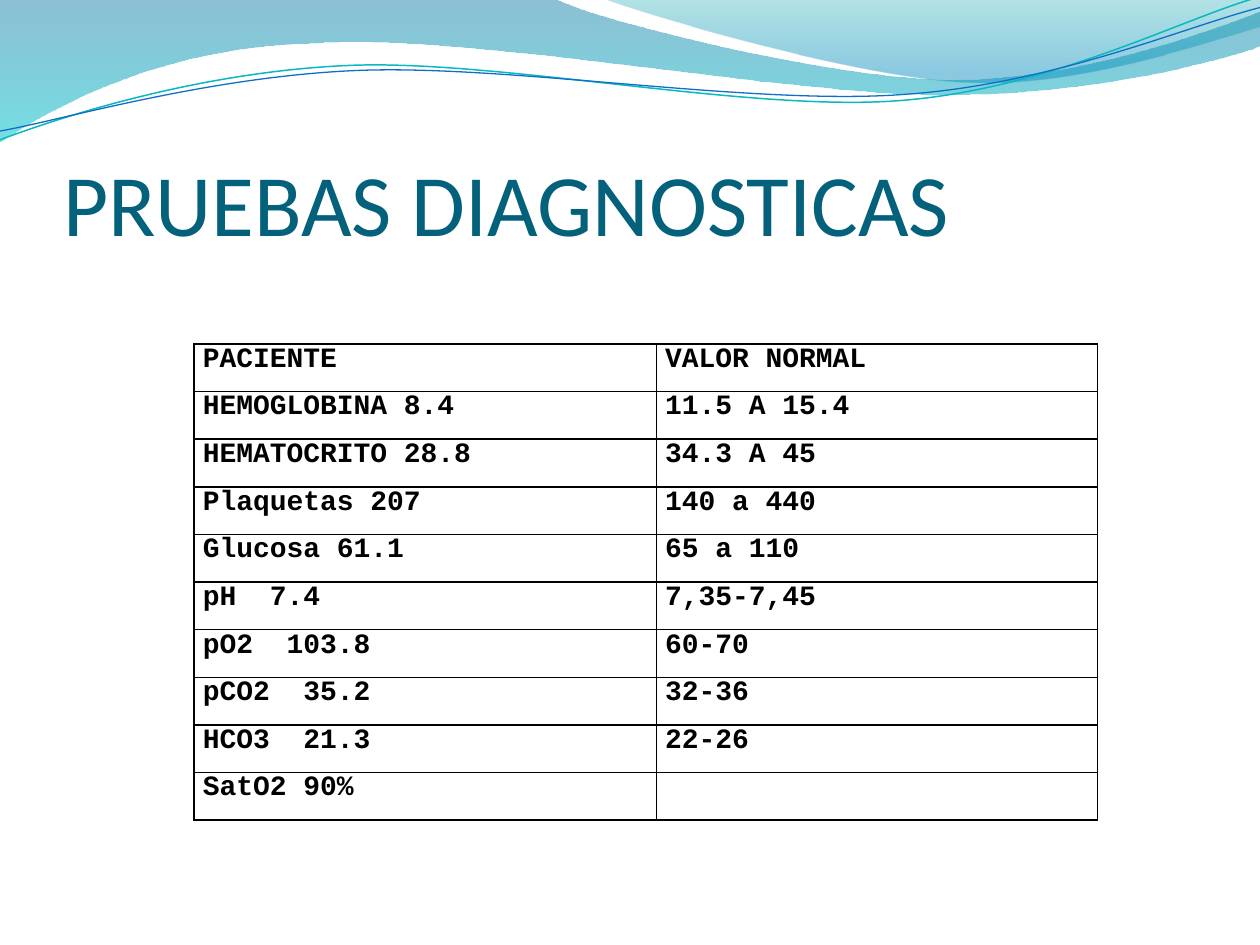
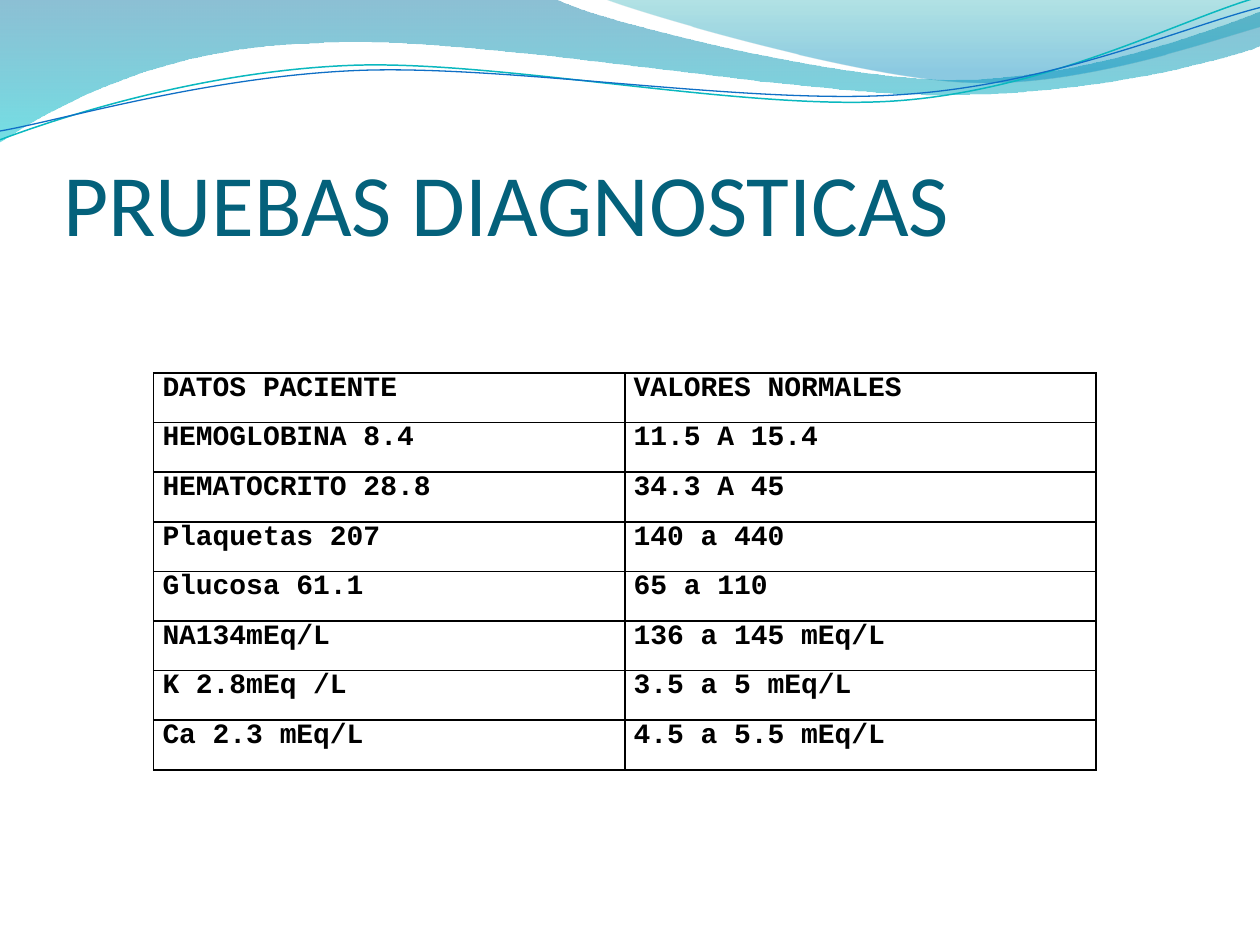
from lxml import etree
from pptx import Presentation
from pptx.dml.color import RGBColor
from pptx.enum import text
from pptx.oxml import ns
from pptx.util import Inches, Pt

TITLE_COLOR, TABLE_COLOR = "04617B", "000000"
TITLE_BOX = (0.5, 0.77, 9, 1.25)
WAVE_BOX = (0, 0)

# Wave outlines: a pair is a corner, six numbers are a Bézier curve.
# Gradient stops are position, colour and opacity in percent.
WAVE_BANDS = [
    ([(0, 0), (4.4, -0.01), (4.76, 0.17, 6.64, 0.63, 7.58, 0.63),
      (8.53, 0.63, 9.58, 0.26, 10, 0.09), (10.01, 0.36),
      (9.83, 0.44, 8.7, 0.76, 7.46, 0.75),
      (6.22, 0.75, 3.82, 0.28, 2.57, 0.34),
      (1.29, 0.36, 0.46, 0.83, -0.01, 1.13), (0, 0)],
     [(0, "0074A1", 45), (100, "00C6CF", 55)]),
    ([(4.79, -0.01), (5.09, 0.11, 6.82, 0.62, 7.69, 0.65),
      (8.56, 0.69, 9.61, 0.32, 10, 0.21), (10, 0), (4.79, -0.01)],
     [(0, "00A1A9", 30), (80, "008BBF", 45)]),
]
WAVE_LINES = [
    ([(0, 1.11), (0.48, 0.93, 1.58, 0.57, 2.77, 0.52),
      (3.95, 0.47, 5.93, 0.89, 7.13, 0.8),
      (8.33, 0.71, 9.38, 0.15, 9.98, -0.02)], "0AB8BF", 0.85),
    ([(0, 1.04), (0.47, 0.96, 1.64, 0.61, 2.83, 0.56),
      (4.03, 0.51, 5.97, 0.84, 7.17, 0.75),
      (8.36, 0.67, 9.41, 0.21, 10, 0.06)], "0F6FC6", 0.75),
]

BLOOD_ROWS = [
    ("HEMOGLOBINA 8.4", "11.5 A 15.4"),
    ("HEMATOCRITO 28.8", "34.3 A 45"),
    ("Plaquetas 207", "140 a 440"),
    ("Glucosa 61.1", "65 a 110"),
]
GAS_ROWS = [
    ("pH  7.4", "7,35-7,45"),
    ("pO2  103.8", "60-70"),
    ("pCO2  35.2", "32-36"),
    ("HCO3  21.3", "22-26"),
    ("SatO2 90%", ""),
]
ELECTROLYTE_ROWS = [
    ("NA134mEq/L", "136 a 145 mEq/L"),
    ("K 2.8mEq /L", "3.5 a 5 mEq/L"),
    ("Ca 2.3 mEq/L", "4.5 a 5.5 mEq/L"),
]


def rgb(color):
    return RGBColor.from_string(color)


def write(tf, words, font, size, color, bold=False, align=text.PP_ALIGN.LEFT):
    p = tf.paragraphs[0]
    p.alignment = align
    r = p.add_run()
    r.text = words
    r.font.name, r.font.size, r.font.bold = font, Pt(size), bold
    r.font.color.rgb = rgb(color)


def set_margins(frame, left, top, right, bottom):
    frame.margin_left, frame.margin_top = Inches(left), Inches(top)
    frame.margin_right, frame.margin_bottom = Inches(right), Inches(bottom)


def bend(sp, outline):
    """Join the three segments of each curve step into one Bézier curve."""
    segments = iter(list(sp.element.iter(ns.qn("a:lnTo"))))
    for step in outline[1:]:
        first = next(segments)
        if len(step) == 6:
            first.tag = ns.qn("a:cubicBezTo")
            for _ in range(2):
                extra = next(segments)
                first.append(extra[0])
                extra.getparent().remove(extra)


def add_outline(s, box, outline, close):
    left, top = box
    points = [(Inches(left + x), Inches(top + y))
              for step in outline for x, y in zip(step[::2], step[1::2])]
    builder = s.shapes.build_freeform(*points[0], scale=1.0)
    builder.add_line_segments(points[1:], close=close)
    sp = builder.convert_to_shape()
    bend(sp, outline)
    sp.shadow.inherit = False
    return sp


def add_waves(s, box):
    """Draw the wave header and return its shapes."""
    waves = []
    for outline, stops in WAVE_BANDS:
        sp = add_outline(s, box, outline, close=True)
        sp.line.fill.background()
        sp.fill.gradient()
        sp.fill.gradient_angle = 270
        for stop, (position, color, _) in zip(sp.fill.gradient_stops, stops):
            stop.position = position / 100
            stop.color.rgb = rgb(color)
        for node, (_, _, opacity) in zip(sp.element.iter(ns.qn("a:srgbClr")), stops):
            etree.SubElement(node, ns.qn("a:alpha"), val=str(opacity * 1000))
        waves.append(sp)
    for outline, color, width in WAVE_LINES:
        sp = add_outline(s, box, outline, close=False)
        sp.fill.background()
        sp.line.color.rgb = rgb(color)
        sp.line.width = Pt(width)
        waves.append(sp)
    return waves


def move_to_master(master, waves):
    """Put the waves behind everything on every slide."""
    for sp in waves:
        master.shapes.element.append(sp.element)


def add_title(s, box, words):
    sp = s.shapes.title
    sp.left, sp.top, sp.width, sp.height = map(Inches, box)
    tf = sp.text_frame
    tf.auto_size = text.MSO_AUTO_SIZE.NONE
    tf.vertical_anchor = text.MSO_ANCHOR.BOTTOM
    set_margins(tf, 0, 0.05, 0, 0)
    write(tf, words, "Calibri", 50, TITLE_COLOR)


def add_borders(cell):
    props = cell._tc.get_or_add_tcPr()
    for side in ("lnL", "lnR", "lnT", "lnB"):
        line = etree.SubElement(props, ns.qn("a:" + side), w=str(Pt(1)))
        fill = etree.SubElement(line, ns.qn("a:solidFill"))
        etree.SubElement(fill, ns.qn("a:srgbClr"), val=TABLE_COLOR)


def add_results_table(s, box, columns, rows):
    frame = s.shapes.add_table(len(rows), len(columns), *map(Inches, box))
    table = frame.table
    table.first_row = table.horz_banding = False
    for column, width in zip(table.columns, columns):
        column.width = Inches(width)
    for i, row in enumerate(rows):
        table.rows[i].height = Inches(box[3] / len(rows))
        for j, words in enumerate(row):
            cell = table.cell(i, j)
            add_borders(cell)
            cell.fill.background()
            set_margins(cell, 0.07, 0, 0.07, 0)
            if words:
                write(cell.text_frame, words, "Courier New", 16, TABLE_COLOR,
                      bold=True, align=text.PP_ALIGN.JUSTIFY)


def add_results_slide(prs, box, columns, rows):
    s = prs.slides.add_slide(prs.slide_layouts[5])
    add_title(s, TITLE_BOX, "PRUEBAS DIAGNOSTICAS")
    add_results_table(s, box, columns, rows)
    return s


def main():
    prs = Presentation()
    prs.slide_width, prs.slide_height = Inches(10), Inches(7.5)

    # Blood count and gases
    s = add_results_slide(prs, (1.54, 2.73, 7.17, 3.78), (3.67, 3.5),
                          [("PACIENTE", "VALOR NORMAL")] + BLOOD_ROWS + GAS_ROWS)
    move_to_master(prs.slide_master, add_waves(s, WAVE_BOX))

    # Blood count and electrolytes
    add_results_slide(prs, (1.22, 2.96, 7.48, 3.15), (3.74, 3.74),
                      [("DATOS PACIENTE", "VALORES NORMALES")]
                      + BLOOD_ROWS + ELECTROLYTE_ROWS)

    prs.save("out.pptx")


if __name__ == "__main__":
    main()
